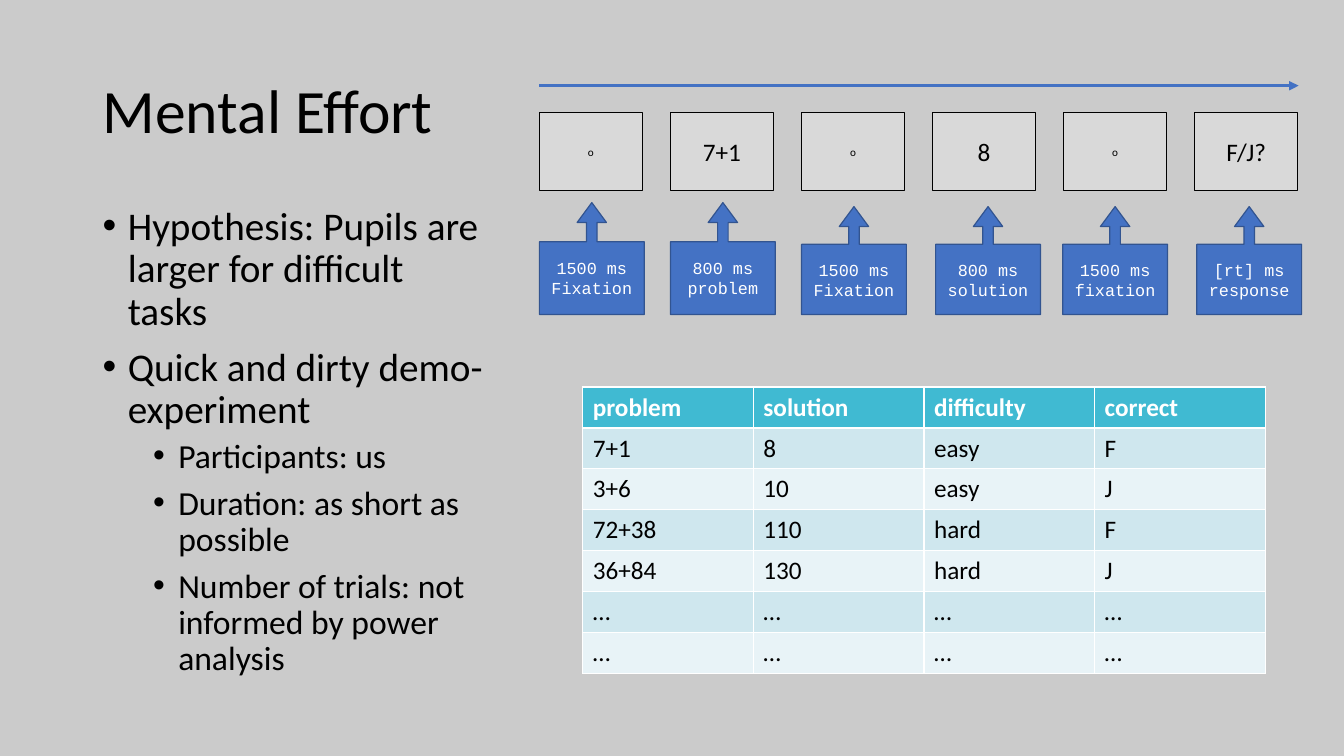
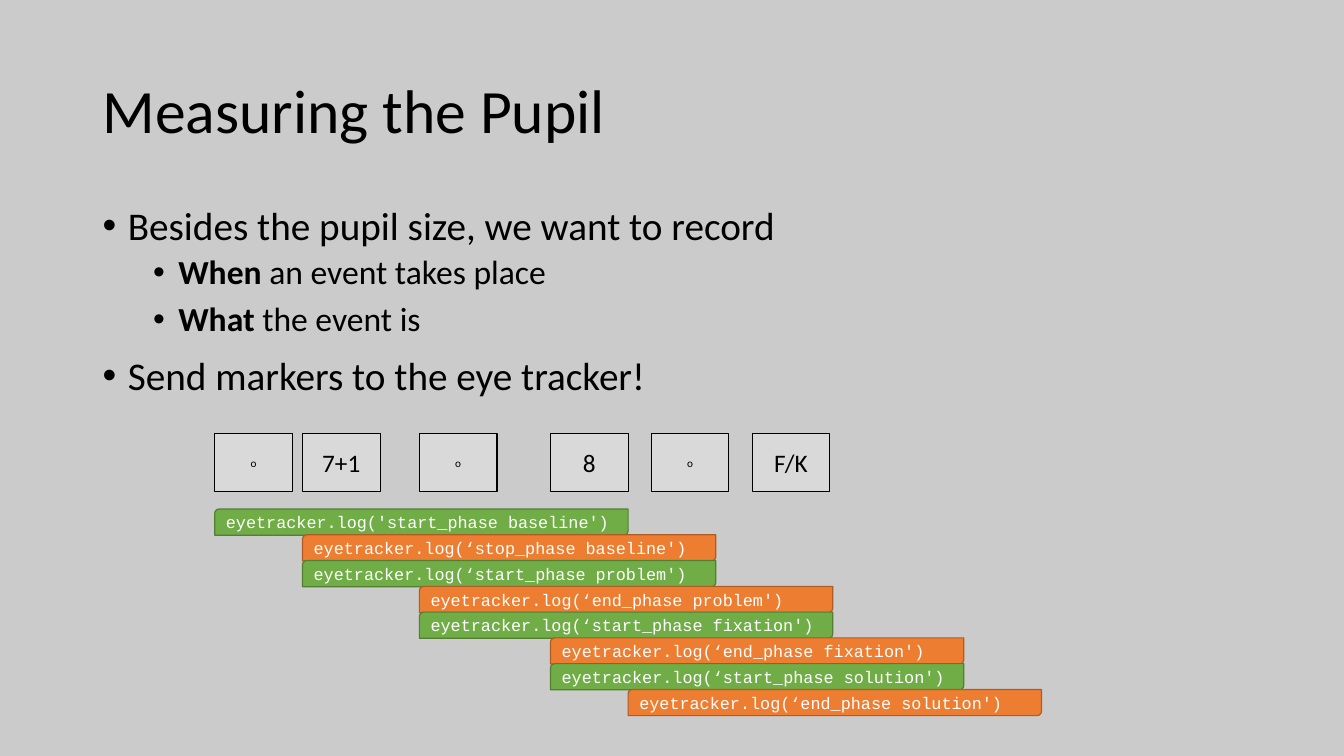
from dataclasses import dataclass

from lxml.etree import SubElement
from pptx import Presentation
from pptx.dml.color import RGBColor
from pptx.enum.shapes import MSO_CONNECTOR, MSO_SHAPE
from pptx.enum.text import MSO_ANCHOR, PP_ALIGN
from pptx.oxml.ns import qn
from pptx.util import Inches, Pt


@dataclass(frozen=True)
class Theme:
    back: str = "CBCBCB"
    ink: str = "000000"
    white: str = "FFFFFF"
    frame: str = "D9D9D9"
    blue: str = "4472C4"
    navy: str = "325490"
    green: str = "70AD47"
    moss: str = "527F34"
    orange: str = "ED7D31"
    rust: str = "AF5C24"
    head: str = "40BAD2"
    bands: tuple = ("CFE7EE", "E8F3F7")
    sans: str = "Calibri"
    mono: str = "Courier New"
    title: int = 44
    body: tuple = (28, 24)
    label: int = 18
    dot: int = 8
    code: int = 12


THEME = Theme()


def rgb(code):
    return RGBColor.from_string(code)


def add_run(para, text, size, color=THEME.ink, font=THEME.sans, bold=False):
    run = para.add_run()
    run.text = text
    run.font.size = Pt(size)
    run.font.name = font
    run.font.bold = bold
    run.font.color.rgb = rgb(color)


def next_para(frame, index):
    return frame.paragraphs[0] if index == 0 else frame.add_paragraph()


def add_box(slide, left, top, width, height):
    box = slide.shapes.add_textbox(
        Inches(left), Inches(top), Inches(width), Inches(height))
    box.text_frame.word_wrap = True
    return box.text_frame


def new_slide(deck, title):
    slide = deck.slides.add_slide(deck.slide_layouts[6])
    fill = slide.background.fill
    fill.solid()
    fill.fore_color.rgb = rgb(THEME.back)
    frame = add_box(slide, 0.92, 0.4, 11.5, 1.45)
    frame.vertical_anchor = MSO_ANCHOR.MIDDLE
    para = frame.paragraphs[0]
    para.line_spacing = 0.9
    add_run(para, title, THEME.title)
    return slide


def add_list(slide, width, height, items):
    frame = add_box(slide, 0.92, 2, width, height)
    for index, (level, *parts) in enumerate(items):
        para = next_para(frame, index)
        para.level = level
        para.line_spacing = 0.9
        para.space_before = Pt((10, 5)[level])
        para.space_after = Pt((0, 2.5)[level])
        props = para._p.get_or_add_pPr()
        props.set("marL", str(Inches((0.25, 0.75)[level])))
        props.set("indent", str(Inches(-0.25)))
        SubElement(props, qn("a:buFont"), typeface="Arial")
        SubElement(props, qn("a:buChar"), char="•")
        for text, bold in parts:
            add_run(para, text, THEME.body[level], bold=bold)


def add_block(slide, kind, place, fill, line, weight, lines, size,
              color=THEME.white, font=THEME.mono, align=PP_ALIGN.CENTER):
    shape = slide.shapes.add_shape(kind, *map(Inches, place))
    shape.shadow.inherit = False
    shape.fill.solid()
    shape.fill.fore_color.rgb = rgb(fill)
    shape.line.color.rgb = rgb(line)
    shape.line.width = Pt(weight)
    frame = shape.text_frame
    frame.word_wrap = True
    frame.vertical_anchor = MSO_ANCHOR.MIDDLE
    for index, text in enumerate(lines):
        para = next_para(frame, index)
        para.alignment = align
        add_run(para, text, size, color, font)
    return shape


def add_frames(slide, lefts, top, width, height, labels):
    for left, text in zip(lefts, labels):
        size = THEME.dot if text == "o" else THEME.label
        add_block(slide, MSO_SHAPE.RECTANGLE, (left, top, width, height),
                  THEME.frame, THEME.ink, 0.75, [text], size,
                  THEME.ink, THEME.sans)


def add_call(slide, left, top, lines):
    shape = add_block(slide, MSO_SHAPE.UP_ARROW_CALLOUT,
                      (left, top, 1.04, 3.12 - top),
                      THEME.blue, THEME.navy, 0.85, lines, THEME.code)
    for index, value in enumerate((0.1, 0.14, 0.19, 0.65)):
        shape.adjustments[index] = value


def add_log(slide, left, top, fill, line, text):
    add_block(slide, MSO_SHAPE.ROUND_2_DIAG_RECTANGLE,
              (left, top, 4.1, 0.26), fill, line, 0.85,
              [f"eyetracker.log({text}')"], THEME.code,
              align=PP_ALIGN.LEFT)


def add_arrow(slide, start, end, top):
    arrow = slide.shapes.add_connector(
        MSO_CONNECTOR.STRAIGHT, Inches(start), Inches(top),
        Inches(end), Inches(top))
    arrow.line.color.rgb = rgb(THEME.blue)
    arrow.line.width = Pt(2.25)
    props = arrow.element.spPr
    SubElement(props.find(qn("a:ln")), qn("a:tailEnd"), type="triangle")
    SubElement(props, qn("a:effectLst"))


def add_grid(slide, rows):
    grid = slide.shapes.add_table(
        len(rows), len(rows[0]), Inches(5.78), Inches(3.84),
        Inches(6.77), Inches(2.84)).table
    for down, row in enumerate(rows):
        top = down == 0
        for across, text in enumerate(row):
            cell = grid.cell(down, across)
            cell.fill.solid()
            shade = THEME.head if top else THEME.bands[(down - 1) % 2]
            cell.fill.fore_color.rgb = rgb(shade)
            add_run(cell.text_frame.paragraphs[0], text, THEME.label,
                    THEME.white if top else THEME.ink, bold=top)


def effort(deck):
    slide = new_slide(deck, "Mental Effort")
    add_list(slide, 4.03, 4.88, [
        (0, ("Hypothesis: Pupils are larger for difficult tasks", False)),
        (0, ("Quick and dirty demo-experiment", False)),
        (1, ("Participants: us", False)),
        (1, ("Duration: as short as possible", False)),
        (1, ("Number of trials: not informed by power analysis", False)),
    ])
    lefts = [5.35 + 1.3 * step for step in range(6)]
    add_frames(slide, lefts, 1.12, 1.02, 0.77,
               ["o", "7+1", "o", "8", "o", "F/J?"])
    add_arrow(slide, 5.35, 12.88, 0.85)
    for left, top, *lines in [
        (5.35, 2.01, "1500 ms", "Fixation"),
        (6.65, 2.01, "800 ms", "problem"),
        (7.95, 2.05, "1500 ms", "Fixation"),
        (9.28, 2.05, "800 ms", "solution"),
        (10.54, 2.05, "1500 ms", "fixation"),
        (11.87, 2.05, "[rt] ms", "response"),
    ]:
        add_call(slide, left, top, lines)
    add_grid(slide, [
        ("problem", "solution", "difficulty", "correct"),
        ("7+1", "8", "easy", "F"),
        ("3+6", "10", "easy", "J"),
        ("72+38", "110", "hard", "F"),
        ("36+84", "130", "hard", "J"),
        *[("…",) * 4] * 2,
    ])


def measure(deck):
    slide = new_slide(deck, "Measuring the Pupil")
    add_list(slide, 11.5, 4.76, [
        (0, ("Besides the pupil size, we want to record", False)),
        (1, ("When", True), (" an event takes place", False)),
        (1, ("What", True), (" the event is", False)),
        (0, ("Send markers to the eye tracker!", False)),
    ])
    lefts = [2.13, 3, 4.16, 5.46, 6.46, 7.46]
    add_frames(slide, lefts, 4.3, 0.77, 0.58,
               ["o", "7+1", "o", "8", "o", "F/K"])
    start = (THEME.green, THEME.moss)
    stop = (THEME.orange, THEME.rust)
    pitch = (6.84 - 5.05) / 7
    for index, (left, tint, text) in enumerate([
        (lefts[0], start, "'start_phase baseline"),
        (lefts[1], stop, "‘stop_phase baseline"),
        (lefts[1], start, "‘start_phase problem"),
        (lefts[2], stop, "‘end_phase problem"),
        (lefts[2], start, "‘start_phase fixation"),
        (lefts[3], stop, "‘end_phase fixation"),
        (lefts[3], start, "‘start_phase solution"),
        (lefts[3] + 0.77, stop, "‘end_phase solution"),
    ]):
        add_log(slide, left, 5.05 + pitch * index, *tint, text)


def main():
    deck = Presentation()
    deck.slide_width = Inches(13.33)
    deck.slide_height = Inches(7.5)
    effort(deck)
    measure(deck)
    deck.save("out.pptx")


if __name__ == "__main__":
    main()
